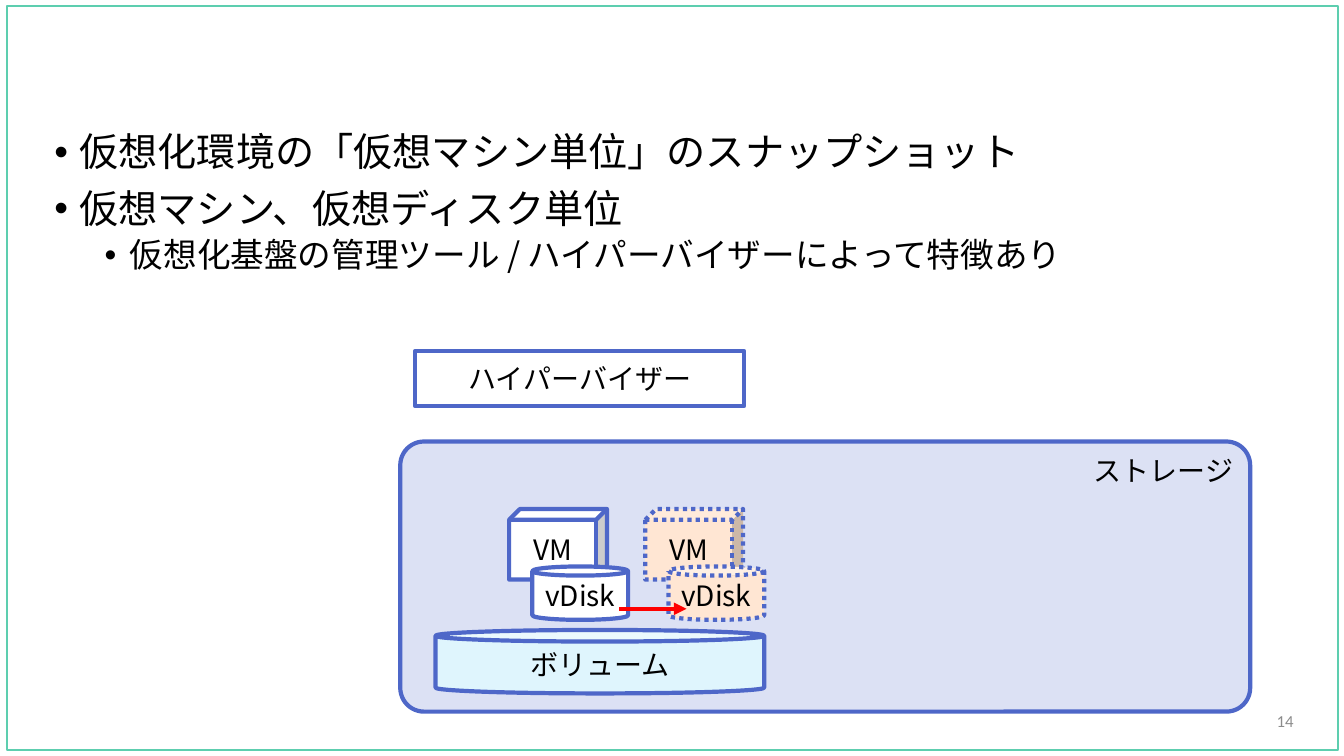
"""Builds the slide on snapshots taken per virtual machine."""
from lxml import etree
from pptx import Presentation
from pptx import util as u
from pptx.dml.color import RGBColor
from pptx.enum import dml, shapes, text
from pptx.oxml.ns import qn

BLACK = RGBColor(0x00, 0x00, 0x00)
WHITE = RGBColor(0xFF, 0xFF, 0xFF)
GRAY = RGBColor(0x8C, 0x8C, 0x8C)
GREEN = RGBColor(0x5D, 0xCE, 0xAF)
BLUE = RGBColor(0x4E, 0x67, 0xC8)
PALE_BLUE = RGBColor(0xDC, 0xE1, 0xF4)
PALE_CYAN = RGBColor(0xDF, 0xF5, 0xFD)
PEACH = RGBColor(0xFF, 0xE6, 0xD3)
RED = RGBColor(0xFF, 0x00, 0x00)
JAPANESE = "Noto Sans CJK JP"
KIND = shapes.MSO_SHAPE
ALIGN = text.PP_ALIGN
MIDDLE = text.MSO_ANCHOR.MIDDLE

POINTS = [
    (0, "仮想化環境の「仮想マシン単位」のスナップショット"),
    (0, "仮想マシン、仮想ディスク単位"),
    (1, "仮想化基盤の管理ツール / ハイパーバイザーによって特徴あり"),
]
LEVELS = [(0.25, 28, 10), (0.75, 24, 5)]


def inches(*lengths):
    """Turn numbers into lengths in inches."""
    return [u.Inches(length) for length in lengths]


def write(paragraph, words, size, color=BLACK, face=JAPANESE):
    """Add one run of text to a paragraph."""
    run = paragraph.add_run()
    run.text = words
    run.font.size = u.Pt(size)
    run.font.color.rgb = color
    run.font.name = face
    etree.SubElement(run.font._element, qn("a:ea"), typeface=face)


def draw(slide, kind, box, fill, label="", line=BLUE, weight=3, adjust=None,
         align=ALIGN.CENTER, anchor=MIDDLE, dotted=False):
    """Draw one outlined shape with its label."""
    part = slide.shapes.add_shape(kind, *inches(*box))
    part.shadow.inherit = False
    part.fill.solid()
    part.fill.fore_color.rgb = fill
    part.line.color.rgb = line
    part.line.width = u.Pt(weight)
    if dotted:
        part.line.dash_style = dml.MSO_LINE.ROUND_DOT
    if adjust is not None:
        part.adjustments[0] = adjust
    if label:
        part.text_frame.word_wrap = kind == KIND.ROUNDED_RECTANGLE
        part.text_frame.vertical_anchor = anchor
        paragraph = part.text_frame.paragraphs[0]
        paragraph.alignment = align
        write(paragraph, label, 20)


def add_points(slide, box):
    """Write the bulleted points into the box."""
    frame = slide.shapes.add_textbox(*inches(*box)).text_frame
    frame.word_wrap = True
    for index, (level, words) in enumerate(POINTS):
        indent, size, space = LEVELS[level]
        paragraph = frame.add_paragraph() if index else frame.paragraphs[0]
        paragraph.level = level
        paragraph.line_spacing = 0.9
        paragraph.space_before = u.Pt(space if index else 0)
        settings = paragraph._p.get_or_add_pPr()
        settings.set("marL", str(u.Inches(indent)))
        settings.set("indent", str(u.Inches(-0.25)))
        etree.SubElement(settings, qn("a:buFont"), typeface="Arial")
        etree.SubElement(settings, qn("a:buChar"), char="•")
        write(paragraph, words, size)


def add_machine(slide, left, top, fill, dotted=False):
    """Draw a virtual machine with its disk in front."""
    draw(slide, KIND.CUBE, (left, top, 0.97, 0.7), fill, "VM",
         adjust=0.154, dotted=dotted)
    draw(slide, KIND.CAN, (left + 0.23, top + 0.57, 0.95, 0.53), fill, "vDisk",
         adjust=0.171, dotted=dotted)


def add_snapshot_arrow(slide, left, top, width):
    """Draw the arrow from the disk to its snapshot."""
    arrow = slide.shapes.add_connector(
        shapes.MSO_CONNECTOR.STRAIGHT, *inches(left, top, left + width, top))
    arrow.line.color.rgb = RED
    arrow.line.width = u.Pt(3)
    etree.SubElement(arrow.line._get_or_add_ln(), qn("a:tailEnd"), type="triangle")
    etree.SubElement(arrow._element.spPr, qn("a:effectLst"))


def add_storage(slide, box):
    """Draw the storage with its volume, machine and snapshot."""
    left, top = box[:2]
    draw(slide, KIND.ROUNDED_RECTANGLE, box, PALE_BLUE, "ストレージ", adjust=0.088,
         align=ALIGN.RIGHT, anchor=text.MSO_ANCHOR.TOP)
    draw(slide, KIND.CAN, (left + 0.35, top + 1.87, 3.26, 0.63), PALE_CYAN,
         "ボリューム", adjust=0.183)
    add_machine(slide, left + 1.08, top + 0.67, WHITE)
    add_machine(slide, left + 2.43, top + 0.67, PEACH, dotted=True)
    add_snapshot_arrow(slide, left + 2.17, top + 1.66, 0.67)


def add_page_number(slide, box):
    """Write the page number at the right of the box."""
    frame = slide.shapes.add_textbox(*inches(*box)).text_frame
    frame.word_wrap = True
    frame.vertical_anchor = MIDDLE
    paragraph = frame.paragraphs[0]
    paragraph.alignment = ALIGN.RIGHT
    write(paragraph, "14", 12, GRAY, "Calibri")


def main():
    """Build the slide and save it."""
    deck = Presentation()
    deck.slide_width, deck.slide_height = inches(13.33, 7.5)
    slide = deck.slides.add_slide(deck.slide_layouts[6])
    draw(slide, KIND.RECTANGLE, (0.07, 0.06, 13.2, 7.38), WHITE, line=GREEN, weight=1)
    add_points(slide, (0.44, 1.27, 12.49, 1.71))
    draw(slide, KIND.RECTANGLE, (4.12, 3.48, 3.26, 0.55), WHITE, "ハイパーバイザー")
    add_storage(slide, (3.97, 4.38, 8.43, 2.68))
    add_page_number(slide, (9.93, 6.95, 3, 0.4))
    deck.save("out.pptx")


if __name__ == "__main__":
    main()
